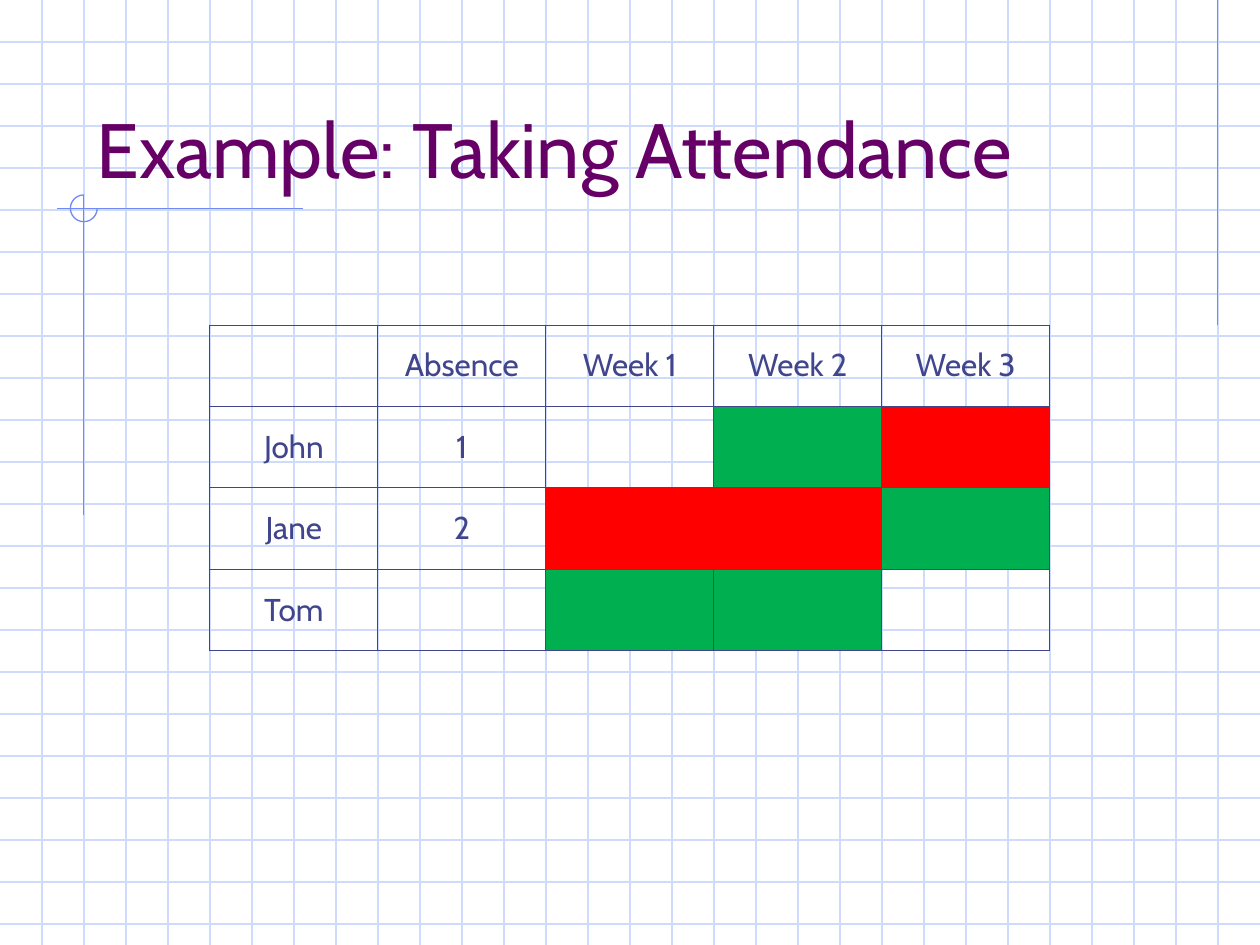
import pptx
import pptx.dml.color
import pptx.enum.shapes
import pptx.enum.text
import pptx.oxml
import pptx.oxml.ns
import pptx.util
from pptx.util import Cm

COLORS = {
    "grid": "CFDBFD",
    "accent": "6F89F7",
    "title": "660066",
    "table": "40458C",
    "present": "00B050",
    "absent": "FF0000",
}
FONT = "Cabin"
WIDTH, HEIGHT = 25.4, 19.05
GRID_STEP = 2.54 / 3

HEADINGS = ["", "Absence", "Week 1", "Week 2", "Week 3"]
# Name, absences, then one mark for each week
STUDENTS = [
    ["John", "1", None, "present", "absent"],
    ["Jane", "2", "absent", "absent", "present"],
    ["Tom", "", "present", "present", None],
]


def rgb(name):
    return pptx.dml.color.RGBColor.from_string(COLORS[name])


def write_text(text_frame, text, size, color, align=None):
    paragraph = text_frame.paragraphs[0]
    paragraph.alignment = align
    run = paragraph.add_run()
    run.text = text
    run.font.name = FONT
    run.font.size = pptx.util.Pt(size)
    run.font.color.rgb = rgb(color)


def add_line(slide, x1, y1, x2, y2, color):
    line = slide.shapes.add_connector(
        pptx.enum.shapes.MSO_CONNECTOR.STRAIGHT, Cm(x1), Cm(y1), Cm(x2), Cm(y2))
    line.line.color.rgb = rgb(color)
    line.line.width = pptx.util.Pt(0.75)
    properties = line._element.spPr
    properties.append(pptx.oxml.parse_xml(
        f"<a:effectLst {pptx.oxml.ns.nsdecls('a')}/>"))


def add_grid(slide, left, top, width, height):
    for row in range(1, int(height / GRID_STEP) + 1):
        y = top + row * GRID_STEP
        add_line(slide, left, y, left + width, y, "grid")
    # The right edge of the slide carries no line
    for column in range(1, round(width / GRID_STEP)):
        x = left + column * GRID_STEP
        add_line(slide, x, top, x, top + height, "grid")


def add_corner_mark(slide, left, top, width, height):
    """Crossed lines with a three-quarter circle around the crossing."""
    radius = 0.27
    x, y = left + 0.55, top + radius
    add_line(slide, left + width, y, left, y, "accent")
    add_line(slide, x, top, x, top + height, "accent")
    arc = slide.shapes.add_shape(
        pptx.enum.shapes.MSO_SHAPE.ARC,
        Cm(x - radius), Cm(y - radius), Cm(2 * radius), Cm(2 * radius))
    # Clockwise from the right to the top, in units of 100000 / 60000 degrees
    arc.adjustments[0] = 0
    arc.adjustments[1] = 162
    arc.shadow.inherit = False
    arc.fill.background()
    arc.line.color.rgb = rgb("accent")
    arc.line.width = pptx.util.Pt(0.75)


def place_title(slide, text, left, top, width, height):
    title = slide.shapes.title
    title.left, title.top = Cm(left), Cm(top)
    title.width, title.height = Cm(width), Cm(height)
    # Bring the title in front of the grid
    title._element.getparent().append(title._element)
    frame = title.text_frame
    frame.word_wrap = True
    frame.auto_size = pptx.enum.text.MSO_AUTO_SIZE.NONE
    frame.vertical_anchor = pptx.enum.text.MSO_ANCHOR.BOTTOM
    write_text(frame, text, 44, "title", align=pptx.enum.text.PP_ALIGN.LEFT)


def add_borders(cell):
    properties = cell._tc.get_or_add_tcPr()
    for side in ("lnL", "lnR", "lnT", "lnB"):
        properties.append(pptx.oxml.parse_xml(
            f"<a:{side} {pptx.oxml.ns.nsdecls('a')} w='{pptx.util.Pt(0.45)}'>"
            f"<a:solidFill><a:srgbClr val='{COLORS['table']}'/></a:solidFill>"
            f"</a:{side}>"))


def add_attendance_table(slide, left, top, width, height):
    rows = [HEADINGS] + STUDENTS
    table = slide.shapes.add_table(
        len(rows), len(HEADINGS), Cm(left), Cm(top), Cm(width), Cm(height)).table
    table.first_row = False
    table.horz_banding = False
    for row_index, row in enumerate(rows):
        for column_index, value in enumerate(row):
            cell = table.cell(row_index, column_index)
            cell.vertical_anchor = pptx.enum.text.MSO_ANCHOR.MIDDLE
            add_borders(cell)
            if value in ("present", "absent"):
                cell.fill.solid()
                cell.fill.fore_color.rgb = rgb(value)
                continue
            cell.fill.background()
            if value:
                write_text(cell.text_frame, value, 18, "table",
                           align=pptx.enum.text.PP_ALIGN.CENTER)


def main():
    presentation = pptx.Presentation()
    presentation.slide_width = Cm(WIDTH)
    presentation.slide_height = Cm(HEIGHT)
    slide = presentation.slides.add_slide(presentation.slide_layouts[5])

    # Graph paper with its accent lines
    add_grid(slide, 0, 0, WIDTH, HEIGHT)
    add_line(slide, 24.55, 0, 24.55, 6.55, "accent")
    add_corner_mark(slide, 1.14, 3.93, 4.96, 6.46)

    # Content
    place_title(slide, "Example: Taking Attendance", 1.69, 0.85, 21.59, 3.18)
    add_attendance_table(slide, 4.23, 6.55, 16.93, 6.57)

    presentation.save("out.pptx")


if __name__ == "__main__":
    main()
